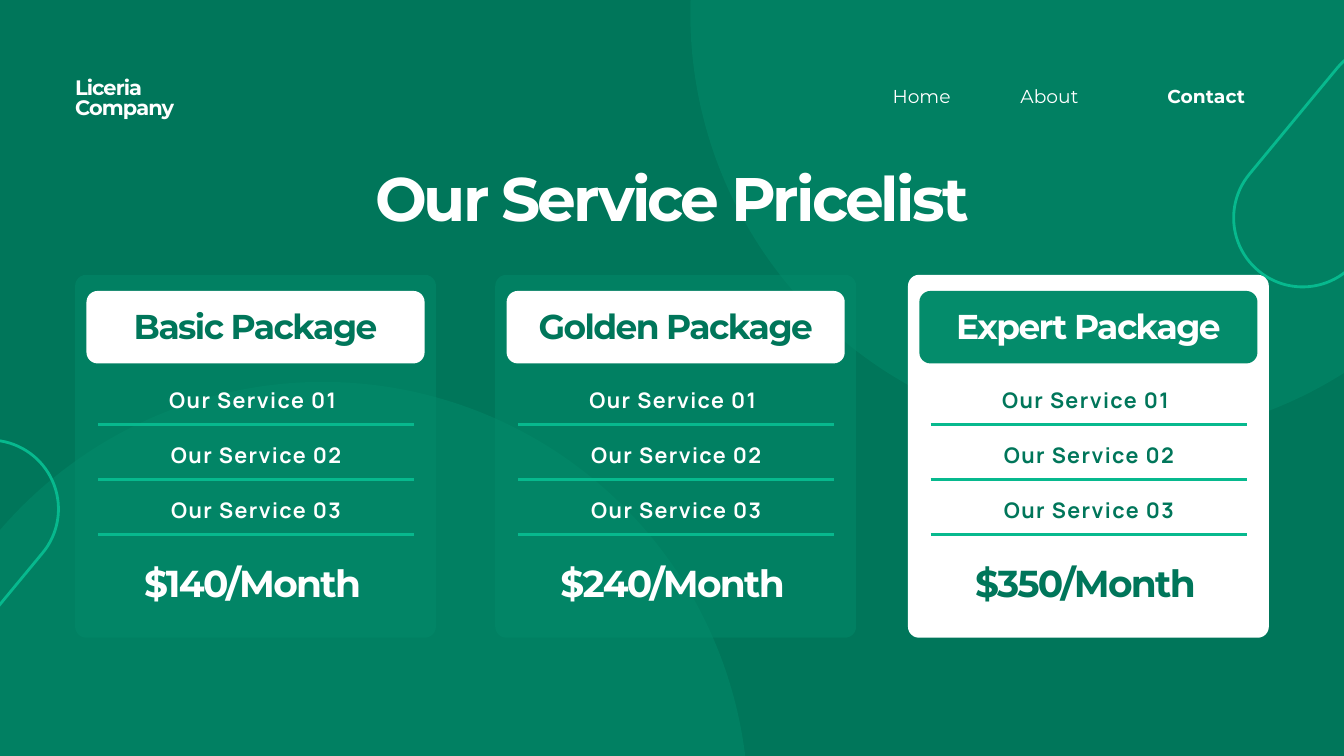
from lxml import etree
from pptx import Presentation
from pptx.dml.color import RGBColor
from pptx.enum.shapes import MSO_CONNECTOR, MSO_SHAPE
from pptx.enum.text import MSO_ANCHOR, MSO_AUTO_SIZE, PP_ALIGN
from pptx.oxml.ns import qn
from pptx.util import Cm, Pt

ROUNDED = MSO_SHAPE.ROUNDED_RECTANGLE
STRAIGHT = MSO_CONNECTOR.STRAIGHT
TOP = MSO_ANCHOR.TOP
GROW = MSO_AUTO_SIZE.SHAPE_TO_FIT_TEXT
LEFT, CENTER = PP_ALIGN.LEFT, PP_ALIGN.CENTER

COLORS = {"deep": "00765A", "mid": "048C6B", "bright": "07B98E", "white": "FFFFFF"}

# Type styles: font attributes, line spacing and letter spacing in points
STYLES = {
    "title": ({"name": "Montserrat", "size": Pt(65.8), "bold": True}, 63.1, -3),
    "nav": ({"name": "Montserrat", "size": Pt(20), "bold": False}, 28, 0),
    "nav_active": ({"name": "Montserrat", "size": Pt(20), "bold": True}, 28, 0),
    "company": ({"name": "Montserrat", "size": Pt(22.4), "bold": True}, 21.6, -1),
    "package": ({"name": "Montserrat", "size": Pt(36.9), "bold": True}, 35.4, -1.7),
    "service": ({"name": "Manrope", "size": Pt(23), "bold": True}, 39.1, 1.5),
    "price": ({"name": "Montserrat", "size": Pt(40.2), "bold": True}, 38.6, -1.8),
}

SERVICES = ["Our Service 01", "Our Service 02", "Our Service 03"]
# Left edge, package, price, card colour, card opacity, header colour, header text, body text
PACKAGES = [
    (2.84, "Basic Package", "$140/Month", "mid", 48, "white", "deep", "white"),
    (18.72, "Golden Package", "$240/Month", "mid", 48, "white", "deep", "white"),
    (34.32, "Expert Package", "$350/Month", "white", 100, "mid", "white", "deep"),
]
CORNER = 0.42
TILT = 309.6


def rgb(color):
    return RGBColor.from_string(COLORS[color])


def write(shape, text, style, color="white", align=CENTER):
    font_values, leading, tracking = STYLES[style]
    frame = shape.text_frame
    frame_values = {"word_wrap": True, "auto_size": GROW, "vertical_anchor": TOP,
                    "margin_left": 0, "margin_top": 0, "margin_right": 0, "margin_bottom": 0}
    for attribute, value in frame_values.items():
        setattr(frame, attribute, value)
    paragraph = frame.paragraphs[0]
    paragraph.alignment = align
    paragraph.line_spacing = Pt(leading)
    run = paragraph.add_run()
    run.text = text
    for attribute, value in font_values.items():
        setattr(run.font, attribute, value)
    run.font.color.rgb = rgb(color)
    run.font._element.set("spc", str(round(tracking * 100)))


def add_label(slide, box, text, style, color="white", align=CENTER):
    write(slide.shapes.add_textbox(*map(Cm, box)), text, style, color, align)


def add_rounded(slide, box, radius, fill=None, opacity=100, outline=None):
    shape = slide.shapes.add_shape(ROUNDED, *map(Cm, box))
    shape.shadow.inherit = False
    shape.adjustments[0] = radius / min(box[2:])
    if fill:
        shape.fill.solid()
        shape.fill.fore_color.rgb = rgb(fill)
        if opacity < 100:
            tint = shape.fill._xPr.find(qn("a:solidFill"))[0]
            etree.SubElement(tint, qn("a:alpha")).set("val", str(opacity * 1000))
    else:
        shape.fill.background()
    if outline:
        shape.line.color.rgb = rgb(outline)
        shape.line.width = Pt(3)
    else:
        shape.line.fill.background()
    return shape


def add_rule(slide, left, right, y):
    rule = slide.shapes.add_connector(STRAIGHT, Cm(left), Cm(y), Cm(right), Cm(y))
    rule.line.color.rgb = rgb("bright")
    rule.line.width = Pt(3)
    etree.SubElement(rule._element.spPr, qn("a:effectLst"))


def add_backdrop(slide):
    slide.background.fill.solid()
    slide.background.fill.fore_color.rgb = rgb("deep")
    # A tinted disc and an outlined capsule at each side
    for disc, capsule in [((25.07, -17.75), (45.69, 3.63)),
                          ((-8.51, 16.61), (-7.26, 18.64))]:
        add_rounded(slide, (*disc, 37.82, 32.18), 16.09, "mid", 48).rotation = TILT
        add_rounded(slide, (*capsule, 10.41, 5.21), 2.6, outline="bright").rotation = TILT


def add_header(slide, box):
    left, top, width, height = box
    add_label(slide, (left, top, 4.5, 1.57), "Liceria Company", "company", align=LEFT)
    for dx, item_width, item, style in [(30.71, 2.57, "Home", "nav"),
                                        (35.54, 2.57, "About", "nav"),
                                        (41.15, 3.2, "Contact", "nav_active")]:
        add_label(slide, (left + dx, top + 0.07, item_width, 0.91), item, style)


def add_title(slide, box):
    title = slide.shapes.title
    title.left, title.top, title.width, title.height = map(Cm, box)
    write(title, "Our Service Pricelist", "title")


def add_package(slide, box, package, price, card, opacity, header, header_text, body_text):
    left, top, width, height = box
    add_rounded(slide, box, CORNER, card, opacity)

    # Package name
    add_rounded(slide, (left + 0.43, top + 0.61, width - 0.86, 2.74), CORNER, header)
    add_label(slide, (left + 1.09, top + 1.45, width - 2.18, 1.32),
              package, "package", header_text)

    # Services, each underlined
    for row, service in enumerate(SERVICES):
        y = top + 3.85 + 2.08 * row
        indent = 2.92 if row else 2.79
        add_label(slide, (left + indent, y, 7.85, 1.32), service, "service", body_text)
        add_rule(slide, left + 0.86, left + 12.82, y + 1.82)

    # Price
    add_label(slide, (left + 1.55, top + 11.13, 10.31, 1.42), price, "price", body_text)


def main():
    deck = Presentation()
    deck.slide_width, deck.slide_height = Cm(50.8), Cm(28.58)
    slide = deck.slides.add_slide(deck.slide_layouts[5])
    add_backdrop(slide)
    add_header(slide, (2.84, 3, 44.35, 1.57))
    add_title(slide, (13, 6.63, 24.8, 2.39))
    for left, *details in PACKAGES:
        add_package(slide, (left, 10.39, 13.64, 13.72), *details)
    # Bring the title in front of the backdrop
    slide.shapes._spTree.append(slide.shapes.title._element)
    deck.save("out.pptx")


if __name__ == "__main__":
    main()
